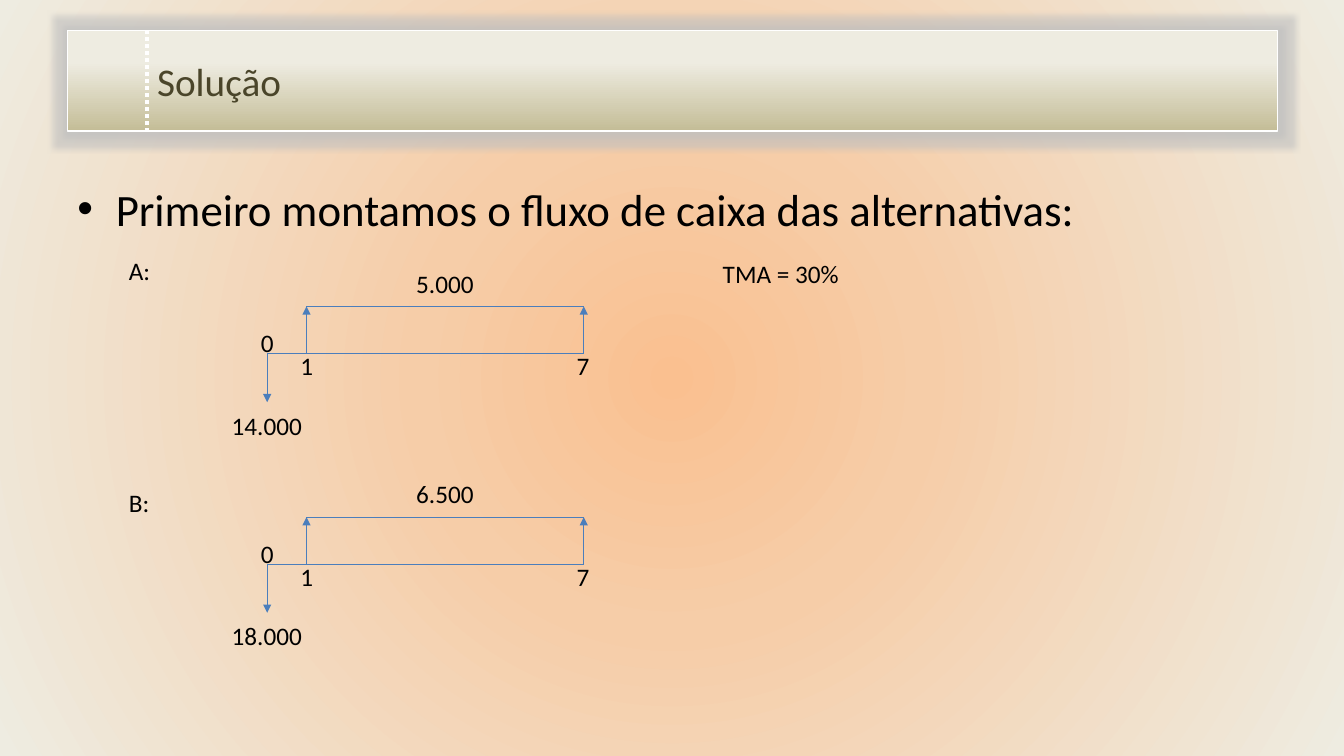
import pptx
import pptx.dml.color
import pptx.enum.dml
import pptx.enum.shapes
import pptx.enum.text
import pptx.oxml
import pptx.oxml.ns
import pptx.util
from pptx.util import Inches

NAMESPACE = pptx.oxml.ns.nsdecls("a")


def color(value):
    """Turn a hex string into a colour."""
    return pptx.dml.color.RGBColor.from_string(value)


def set_values(target, values):
    """Set each attribute named in a dict of format values."""
    for name, value in values.items():
        setattr(target, name, value)


def element(markup):
    """Parse one DrawingML element, adding its namespace."""
    head, rest = markup.split(">", 1)
    closing = "/" if head.endswith("/") else ""
    return pptx.oxml.parse_xml(f"{head.rstrip('/')} {NAMESPACE}{closing}>{rest}")


def gradient(stops, direction):
    """Make a gradient fill from (percent, colour) stops."""
    parts = "".join(
        f'<a:gs pos="{percent * 1000}"><a:srgbClr val="{value}"/></a:gs>'
        for percent, value in stops
    )
    return element(f"<a:gradFill><a:gsLst>{parts}</a:gsLst>{direction}</a:gradFill>")


def replace_solid(fill, properties, new_fill):
    """Swap the fill held by a properties element for a gradient."""
    fill.solid()
    properties.replace(properties.find(pptx.oxml.ns.qn("a:solidFill")), new_fill)


class SlideBuilder:
    """Holds the style and the current slide."""

    font = "Calibri"
    ink = "000000"
    flow_color = "4B7EBC"

    def __init__(self, slide):
        """Keep the slide to draw on."""
        self.slide = slide

    def background(self, stops):
        """Fill the slide with a gradient spreading from its centre."""
        center = '<a:fillToRect l="50000" t="50000" r="50000" b="50000"/>'
        replace_solid(
            self.slide.background.fill,
            self.slide.element.xpath(".//p:bgPr")[0],
            gradient(stops, f'<a:path path="circle">{center}</a:path>'),
        )

    def panel(self, left, top, width, height, stops):
        """Draw a glowing rectangle with a vertical gradient."""
        shape = self.slide.shapes.add_shape(
            pptx.enum.shapes.MSO_SHAPE.RECTANGLE,
            Inches(left), Inches(top), Inches(width), Inches(height),
        )
        shape.shadow.inherit = False
        properties = shape.element.spPr
        replace_solid(shape.fill, properties, gradient(stops, '<a:lin ang="5400000"/>'))
        shape.line.color.rgb = color("FFFFFF")
        shape.line.width = pptx.util.Pt(1)
        properties.find(pptx.oxml.ns.qn("a:effectLst")).append(element(
            '<a:glow rad="101600"><a:srgbClr val="BFBFBF">'
            '<a:alpha val="60000"/></a:srgbClr></a:glow>'
        ))

    def line(self, start, end, value=flow_color, width=0.75, dash=None, arrow=False):
        """Draw a straight line, with an arrowhead at its end if asked."""
        connector = self.slide.shapes.add_connector(
            pptx.enum.shapes.MSO_CONNECTOR.STRAIGHT,
            *(Inches(number) for number in (*start, *end)),
        )
        connector.line.color.rgb = color(value)
        set_values(connector.line, {"width": pptx.util.Pt(width), "dash_style": dash})
        if arrow:
            connector.line._get_or_add_ln().append(element('<a:tailEnd type="triangle"/>'))
        connector.element.spPr.append(element("<a:effectLst/>"))

    def text(self, words, left, top, width, height=0.4, size=18, value=ink,
             wrap=False, middle=False):
        """Write one paragraph in a text box and return the paragraph."""
        shape = self.slide.shapes.add_textbox(
            Inches(left), Inches(top), Inches(width), Inches(height)
        )
        anchors, fits = pptx.enum.text.MSO_ANCHOR, pptx.enum.text.MSO_AUTO_SIZE
        set_values(shape.text_frame, {
            "word_wrap": wrap,
            "auto_size": fits.NONE if wrap else fits.SHAPE_TO_FIT_TEXT,
            "vertical_anchor": anchors.MIDDLE if middle else anchors.TOP,
        })
        paragraph = shape.text_frame.paragraphs[0]
        run = paragraph.add_run()
        run.text = words
        set_values(run.font, {"name": self.font, "size": pptx.util.Pt(size)})
        run.font.color.rgb = color(value)
        return paragraph

    def bullet(self, words, left, top, width, height, size):
        """Write a bulleted paragraph with a hanging indent."""
        paragraph = self.text(words, left, top, width, height, size, wrap=True)
        properties = paragraph._p.get_or_add_pPr()
        indent = Inches(0.38)
        properties.set("marL", str(indent))
        properties.set("indent", str(-indent))
        properties.append(element('<a:buFont typeface="Arial"/>'))
        properties.append(element('<a:buChar char="•"/>'))

    def cash_flow(self, base, income, cost):
        """Draw a cash flow whose time axis lies at height base."""
        start, first, last = 2.65, 3.04, 5.79
        income_top = base - 0.47
        self.line((start, base), (last, base))
        self.line((first, income_top), (last, income_top))
        for period in (last, first):
            self.line((period, base), (period, income_top), arrow=True)
        self.line((start, base), (start, base + 0.48), arrow=True)
        self.text("0", start - 0.16, base - 0.31, 0.33)
        self.text("1", first - 0.16, base - 0.08, 0.33)
        self.text("7", last - 0.17, base - 0.08, 0.33)
        self.text(income, 4.03, base - 0.9, 0.78)
        self.text(cost, 2.2, base + 0.51, 0.9)


presentation = pptx.Presentation()
set_values(presentation, {"slide_width": Inches(13.33), "slide_height": Inches(7.5)})
builder = SlideBuilder(presentation.slides.add_slide(presentation.slide_layouts[6]))

builder.background([(0, "FAC090"), (33, "F6CDA8"), (100, "EEECE1")])
builder.panel(0.67, 0.3, 12, 1, [(32, "EEECE1"), (100, "C4BD97")])
builder.line((1.46, 0.3), (1.46, 1.3), "FFFFFF", 2.5,
             pptx.enum.dml.MSO_LINE.ROUND_DOT)
builder.text("Solução", 1.46, 0.3, 11.21, 1, 28, "4A452A", wrap=True, middle=True)
builder.bullet("Primeiro montamos o fluxo de caixa das alternativas:",
               0.67, 1.75, 12, 4.95, 32)

alternatives = [
    ("A:", 2.48, 3.51, "5.000", "14.000"),
    ("B:", 4.79, 5.6, "6.500", "18.000"),
]
for name, name_top, base, income, cost in alternatives:
    builder.text(name, 1.18, name_top, 0.42)
    builder.cash_flow(base, income, cost)
builder.text("TMA = 30%", 7.07, 2.51, 1.36)

presentation.save("out.pptx")
